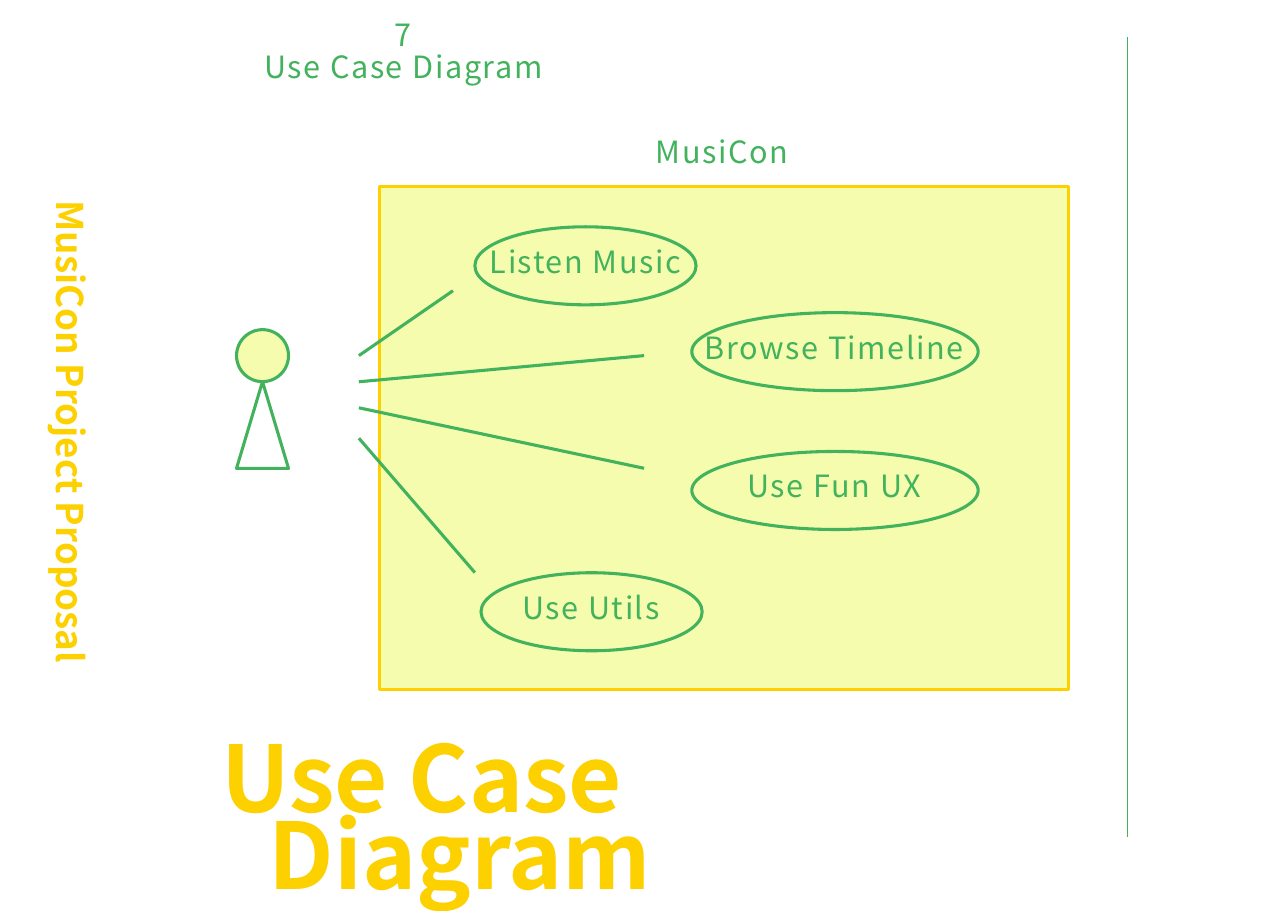
import pptx
import pptx.util
import pptx.dml.color
import pptx.enum.shapes
import pptx.enum.text
from dataclasses import dataclass
from lxml import etree

Pt = pptx.util.Pt
SHAPE = pptx.enum.shapes.MSO_SHAPE
ALIGN = pptx.enum.text.PP_ALIGN
ANCHOR = pptx.enum.text.MSO_ANCHOR
A = "{http://schemas.openxmlformats.org/drawingml/2006/main}"


@dataclass(frozen=True)
class Theme:
    font: str = "Noto Sans CJK KR"
    green: str = "42B25D"
    yellow: str = "FDD000"
    pale: str = "F6FCAE"
    title_size: int = 60
    side_size: int = 24
    label_size: int = 20
    stroke: float = 2
    hairline: float = 0.3


T = Theme()
TITLE = dict(size=T.title_size, color=T.yellow, bold=True, line=50,
             align=ALIGN.LEFT, hang=31)
SIDE = dict(size=T.side_size, color=T.yellow, bold=True, line=27)
LABEL = dict(size=T.label_size, color=T.green, bold=False, line=17, spacing=1)


def rgb(color):
    return pptx.dml.color.RGBColor.from_string(color)


def set_all(target, values):
    for name, value in values.items():
        setattr(target, name, value)


def place(sp, box):
    set_all(sp, dict(zip(("left", "top", "width", "height"), map(Pt, box))))


def write(sp, lines, style, anchor=ANCHOR.TOP, right=0):
    tf = sp.text_frame
    set_all(tf, dict(word_wrap=True, auto_size=pptx.enum.text.MSO_AUTO_SIZE.NONE,
                     vertical_anchor=anchor, margin_left=0, margin_top=0,
                     margin_right=Pt(right), margin_bottom=0))
    hang = Pt(style.get("hang", 0))
    for i, line in enumerate(lines):
        p = tf.add_paragraph() if i else tf.paragraphs[0]
        set_all(p, dict(alignment=style.get("align", ALIGN.CENTER),
                        line_spacing=Pt(style["line"]),
                        space_before=Pt(style["size"] * 0.2)))
        pPr = p._p.get_or_add_pPr()
        pPr.set("marL", str(hang))
        pPr.set("indent", str(-hang))
        etree.SubElement(pPr, A + "buNone")
        r = p.add_run()
        r.text = line
        set_all(r.font, dict(name=T.font, size=Pt(style["size"]), bold=style["bold"]))
        r.font.color.rgb = rgb(style["color"])
        r._r.get_or_add_rPr().set("spc", str(style.get("spacing", 0) * 100))


def add_label(s, box, text, style=LABEL, anchor=ANCHOR.TOP):
    sp = s.shapes.add_textbox(*map(Pt, box))
    write(sp, [text], style, anchor)
    return sp


def add_outline(s, kind, box, line=T.green, fill=None):
    sp = s.shapes.add_shape(kind, *map(Pt, box))
    sp.shadow.inherit = False
    if fill:
        sp.fill.solid()
        sp.fill.fore_color.rgb = rgb(fill)
    else:
        sp.fill.background()
    sp.line.color.rgb = rgb(line)
    sp.line.width = Pt(T.stroke)


def add_line(s, start, end, width=T.stroke):
    c = s.shapes.add_connector(pptx.enum.shapes.MSO_CONNECTOR.STRAIGHT,
                               *map(Pt, start + end))
    c.line.color.rgb = rgb(T.green)
    c.line.width = Pt(width)
    etree.SubElement(c._element.spPr, A + "effectLst")


def add_use_case(s, left, top, width, label_left, text):
    add_outline(s, SHAPE.OVAL, (left, top, width, 51))
    add_label(s, (label_left, top + 17.3, 238.3, 25.2), text)


def add_actor(s, left, top, width):
    add_outline(s, SHAPE.OVAL, (left, top, width, width), fill=T.pale)
    add_outline(s, SHAPE.ISOSCELES_TRIANGLE, (left, top + width, width, 56.7))


def main():
    prs = pptx.Presentation()
    prs.slide_width, prs.slide_height = Pt(841.9), Pt(595.3)
    s = prs.slides.add_slide(prs.slide_layouts[1])

    title, header = s.placeholders
    place(title, (144.6, 493.2, 524.4, 56.7))
    write(title, ["Use Case Diagram"], TITLE, right=30)
    place(header, (144.6, 17.3, 238.3, 56))
    write(header, ["7", "Use Case Diagram"], LABEL)

    add_line(s, (736.6, 24.5), (736.6, 547.2), T.hairline)
    side = add_label(s, (32.4, 84.5, 39.6, 395.3), "MusiCon Project Proposal",
                     SIDE, ANCHOR.BOTTOM)
    side.text_frame._txBody.bodyPr.set("vert", "vert")

    add_outline(s, SHAPE.RECTANGLE, (248.2, 121.8, 450.4, 328.8), T.yellow, T.pale)
    add_label(s, (352.8, 93.6, 238.3, 56), "MusiCon")
    add_actor(s, 154.6, 215.4, 34)

    for case in ((310.4, 148.2, 144.6, 263.5, "Listen Music"),
                 (452.2, 204.3, 187.2, 426.2, "Browse Timeline"),
                 (314.4, 374.3, 144.6, 267.1, "Use Utils"),
                 (452.2, 295, 187.2, 426.2, "Use Fun UX")):
        add_use_case(s, *case)

    for y, end in ((232.4, (296.1, 190)), (249.5, (421, 232.4)),
                   (266.5, (421, 306)), (286.4, (310.4, 374.2))):
        add_line(s, (234.6, y), end)

    prs.save("out.pptx")


if __name__ == "__main__":
    main()
